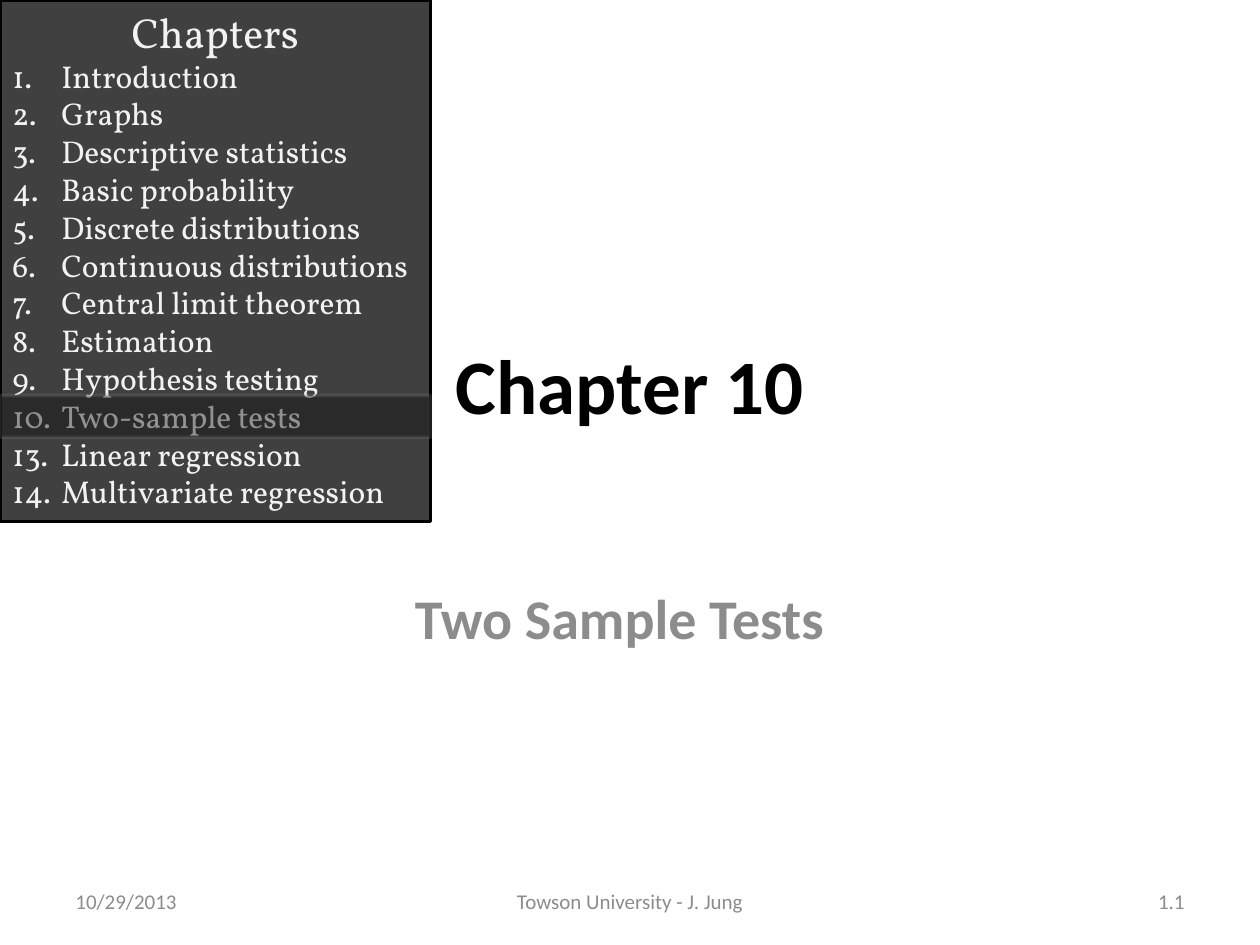
import pptx
import pptx.util
import pptx.dml.color
import pptx.enum.shapes
import pptx.enum.text
import pptx.oxml.ns
import lxml.etree

Pt = pptx.util.Pt
RGB = pptx.dml.color.RGBColor
ALIGN = pptx.enum.text.PP_ALIGN
ANCHOR = pptx.enum.text.MSO_ANCHOR
qn = pptx.oxml.ns.qn

WHITE = RGB(0xFF, 0xFF, 0xFF)
BLACK = RGB(0x00, 0x00, 0x00)
GRAY = RGB(0x8C, 0x8C, 0x8C)
PANEL = RGB(0x40, 0x40, 0x40)
LIGHT = RGB(0xF2, 0xF2, 0xF2)
SHADE = RGB(0x0D, 0x0D, 0x0D)
EDGE = RGB(0x80, 0x80, 0x80)

TOPICS = [
    (1, "Introduction"),
    (2, "Graphs"),
    (3, "Descriptive statistics"),
    (4, "Basic probability"),
    (5, "Discrete distributions"),
    (6, "Continuous distributions"),
    (7, "Central limit theorem"),
    (8, "Estimation"),
    (9, "Hypothesis testing"),
    (10, "Two-sample tests"),
    (13, "Linear regression"),
    (14, "Multivariate regression"),
]
INDENT = Pt(28)


def style(para, size, color, face="Calibri", bold=False):
    font = para.font
    font.name, font.size, font.bold = face, Pt(size), bold
    font.color.rgb = color


def add_text(slide, box, text, size, color, align, anchor=ANCHOR.MIDDLE, bold=False):
    frame = slide.shapes.add_textbox(*map(Pt, box)).text_frame
    frame.word_wrap = True
    frame.vertical_anchor = anchor
    para = frame.paragraphs[0]
    para.text, para.alignment = text, align
    style(para, size, color, bold=bold)


def add_rect(slide, box, fill, line):
    rect = slide.shapes.add_shape(
        pptx.enum.shapes.MSO_SHAPE.RECTANGLE, *map(Pt, box))
    rect.shadow.inherit = False
    rect.fill.solid()
    rect.fill.fore_color.rgb = fill
    rect.line.color.rgb = line
    rect.line.width = Pt(2)
    return rect


def set_alpha(part, percent):
    color = part.find(qn("a:solidFill"))[0]
    lxml.etree.SubElement(color, qn("a:alpha")).set("val", str(percent * 1000))


def add_list(slide, box):
    frame = add_rect(slide, box, PANEL, BLACK).text_frame
    frame.word_wrap = True
    frame.vertical_anchor = ANCHOR.TOP
    head = frame.paragraphs[0]
    head.text, head.alignment = "Chapters", ALIGN.CENTER
    style(head, 24, LIGHT, "Vollkorn")
    # Hanging indent lines up the topics after their numbers
    for num, topic in TOPICS:
        para = frame.add_paragraph()
        para.text, para.alignment = f"{num}.\t{topic}", ALIGN.LEFT
        props = para._p.get_or_add_pPr()
        props.set("marL", str(INDENT))
        props.set("indent", str(-INDENT))
        style(para, 18, LIGHT, "Vollkorn")


def add_mark(slide, box):
    mark = add_rect(slide, box, SHADE, EDGE)
    set_alpha(mark._element.spPr, 42)
    set_alpha(mark.line._ln, 23)


def add_titles(slide, box):
    left, top, width, height = box
    add_text(slide, (left, top, width, 126), "Chapter 10",
             44, BLACK, ALIGN.CENTER, bold=True)
    add_text(slide, (left - 18, top + 174, width + 24, height - 174),
             "Two Sample Tests", 32, GRAY, ALIGN.CENTER, ANCHOR.TOP, True)


def add_footer(slide, box):
    left, top, width, height = box
    side, mid = 168, 228
    parts = [
        (left, side, "10/29/2013", ALIGN.LEFT),
        (left + (width - mid) / 2, mid, "Towson University - J. Jung", ALIGN.CENTER),
        (left + width - side, side, "1.1", ALIGN.RIGHT),
    ]
    for x, wide, text, align in parts:
        add_text(slide, (x, top, wide, height), text, 12, GRAY, align)


def main():
    deck = pptx.Presentation()
    deck.slide_width, deck.slide_height = Pt(720), Pt(540)
    slide = deck.slides.add_slide(deck.slide_layouts[6])
    slide.background.fill.solid()
    slide.background.fill.fore_color.rgb = WHITE

    # Title and subtitle
    add_titles(slide, (54, 156, 612, 360))
    # Date, author and page number
    add_footer(slide, (36, 500.5, 648, 28.75))
    # Chapter list with the current chapter dimmed
    add_list(slide, (0, 0, 246, 298))
    add_mark(slide, (0, 226, 246, 24))

    deck.save("out.pptx")


if __name__ == "__main__":
    main()
